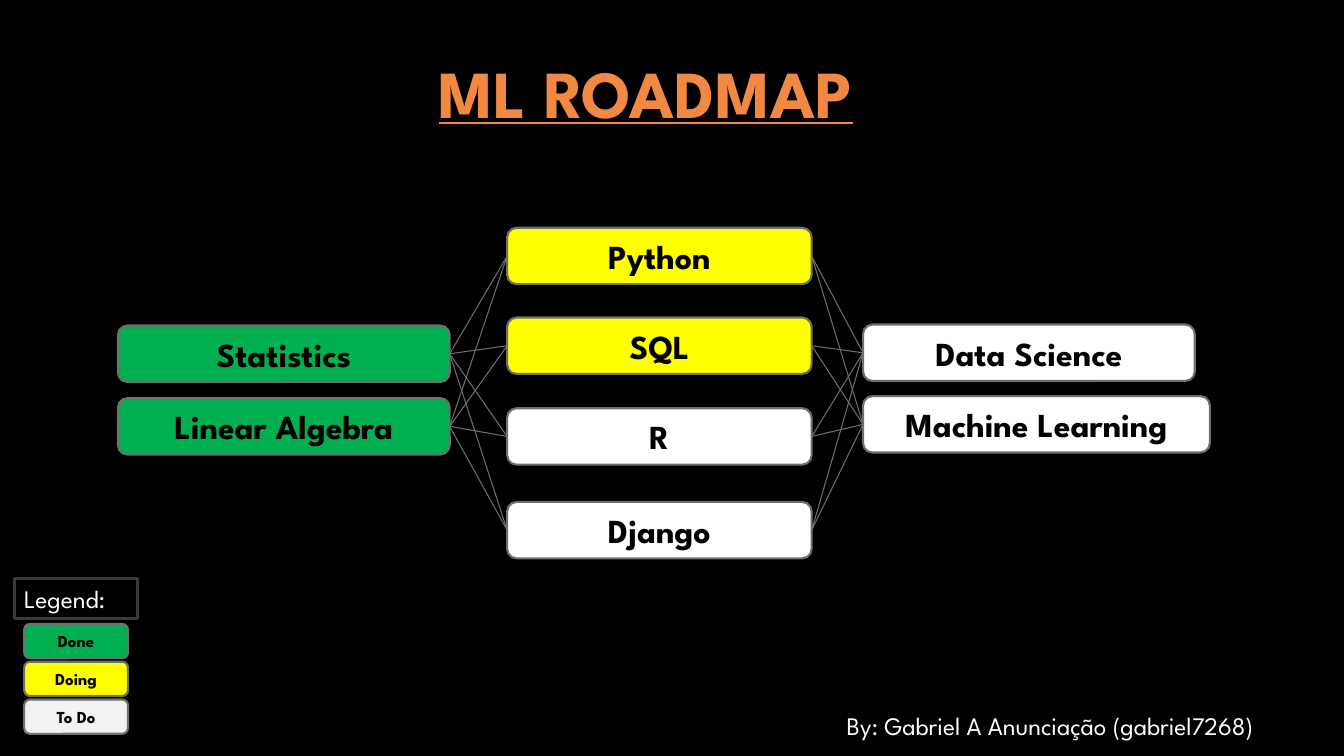
from itertools import product

from lxml import etree
from pptx import Presentation
from pptx.dml.color import RGBColor
from pptx.enum import shapes, text
from pptx.oxml import ns
from pptx.util import Inches, Pt

HEADING = "ML ROADMAP"
AUTHOR = "By: Gabriel A Anunciação (gabriel7268)"
DONE, DOING, TODO = "00B050", "FFFF00", "FFFFFF"
STAGES = [
    (1.17, [("Statistics", 3.23, 3.29, DONE), ("Linear Algebra", 3.95, 3.29, DONE)]),
    (5.03, [("Python", 2.26, 3.02, DOING), ("SQL", 3.15, 3.02, DOING),
            ("R", 4.05, 3.02, TODO), ("Django", 4.98, 3.02, TODO)]),
    (8.56, [("Data Science", 3.22, 3.29, TODO), ("Machine Learning", 3.93, 3.44, TODO)]),
]
LEGEND = [("Done", DONE), ("Doing", DOING), ("To Do", "F2F2F2")]
LEGEND_TOP, LEGEND_STEP = 6.19, 0.375
GREY = "6F6F6F"

HEADING_FONT = {"size": Pt(48), "bold": True, "underline": True}
TOPIC_FONT = {"size": Pt(24), "bold": True}
KEY_FONT = {"size": Pt(12), "bold": True}
CAPTION_FONT = {"size": Pt(18), "bold": False}
CENTRED = {"word_wrap": True, "vertical_anchor": text.MSO_ANCHOR.MIDDLE,
           "auto_size": text.MSO_AUTO_SIZE.SHAPE_TO_FIT_TEXT}
CAPTION = {**CENTRED, "word_wrap": False, "vertical_anchor": text.MSO_ANCHOR.TOP}
TITLE = {"word_wrap": True, "vertical_anchor": text.MSO_ANCHOR.BOTTOM,
         "auto_size": text.MSO_AUTO_SIZE.NONE}


def colour(value):
    return RGBColor.from_string(value)


def apply(target, values):
    for name, value in values.items():
        setattr(target, name, value)


def write(holder, words, font, frame, ink, align):
    holder.text_frame.text = words
    apply(holder.text_frame, frame)
    paragraph = holder.text_frame.paragraphs[0]
    paragraph.alignment = align
    run = paragraph.runs[0]
    apply(run.font, {"name": "League Spartan", **font})
    run.font.color.rgb = colour(ink)
    return run


def outline(part, ink, width):
    part.line.color.rgb = colour(ink)
    part.line.width = Pt(width)


def add_box(slide, words, place, fill, font):
    box = slide.shapes.add_shape(shapes.MSO_SHAPE.ROUNDED_RECTANGLE, *map(Inches, place))
    box.shadow.inherit = False
    box.fill.solid()
    box.fill.fore_color.rgb = colour(fill)
    outline(box, GREY, 1.5)
    write(box, words, font, CENTRED, "000000", text.PP_ALIGN.CENTER)
    return box


def add_link(slide, start, end):
    link = slide.shapes.add_connector(shapes.MSO_CONNECTOR.STRAIGHT, 0, 0, 0, 0)
    link.begin_connect(start, 3)
    link.end_connect(end, 1)
    outline(link, GREY, 0.75)
    etree.SubElement(link._element.spPr, ns.qn("a:effectLst"))


def add_heading(slide):
    heading = slide.shapes.title
    apply(heading, {"left": Inches(1.66), "top": Inches(0.09),
                    "width": Inches(9.49), "height": Inches(1.27)})
    run = write(heading, HEADING, HEADING_FONT, TITLE, "F28943", text.PP_ALIGN.CENTER)
    effects = etree.Element(ns.qn("a:effectLst"))
    shadow = etree.SubElement(effects, ns.qn("a:outerShdw"), blurRad="38100",
                              dist="38100", dir="2700000", algn="tl")
    ink = etree.SubElement(shadow, ns.qn("a:srgbClr"), val="3B3B3B")
    etree.SubElement(ink, ns.qn("a:alpha"), val="80000")
    run.font._element.find(ns.qn("a:solidFill")).addnext(effects)


def add_stages(slide):
    previous = []
    for left, topics in STAGES:
        current = [add_box(slide, words, (left, top, width, 0.56), fill, TOPIC_FONT)
                   for words, top, width, fill in topics]
        for start, end in product(previous, current):
            add_link(slide, start, end)
        previous = current


def add_legend(slide):
    label = slide.shapes.add_shape(shapes.MSO_SHAPE.RECTANGLE,
                                   *map(Inches, (0.14, 5.74, 1.22, 0.4)))
    label.shadow.inherit = False
    label.fill.background()
    outline(label, "3B3B3B", 2.25)
    write(label, "Legend:", CAPTION_FONT, CAPTION, "FFFFFF", text.PP_ALIGN.LEFT)
    for row, (words, fill) in enumerate(LEGEND):
        top = LEGEND_TOP + row * LEGEND_STEP
        add_box(slide, words, (0.24, top, 1.03, 0.34), fill, KEY_FONT)


def main():
    deck = Presentation()
    deck.slide_width, deck.slide_height = Inches(13.33), Inches(7.5)
    slide = deck.slides.add_slide(deck.slide_layouts[0])
    subtitle = slide.placeholders[1]._element
    subtitle.getparent().remove(subtitle)
    slide.background.fill.solid()
    slide.background.fill.fore_color.rgb = colour("000000")

    add_heading(slide)
    add_stages(slide)
    author = slide.shapes.add_textbox(*map(Inches, (8.3, 7, 5.1, 0.4)))
    write(author, AUTHOR, CAPTION_FONT, CAPTION, "FFFFFF", text.PP_ALIGN.LEFT)
    add_legend(slide)
    deck.save("out.pptx")


if __name__ == "__main__":
    main()
